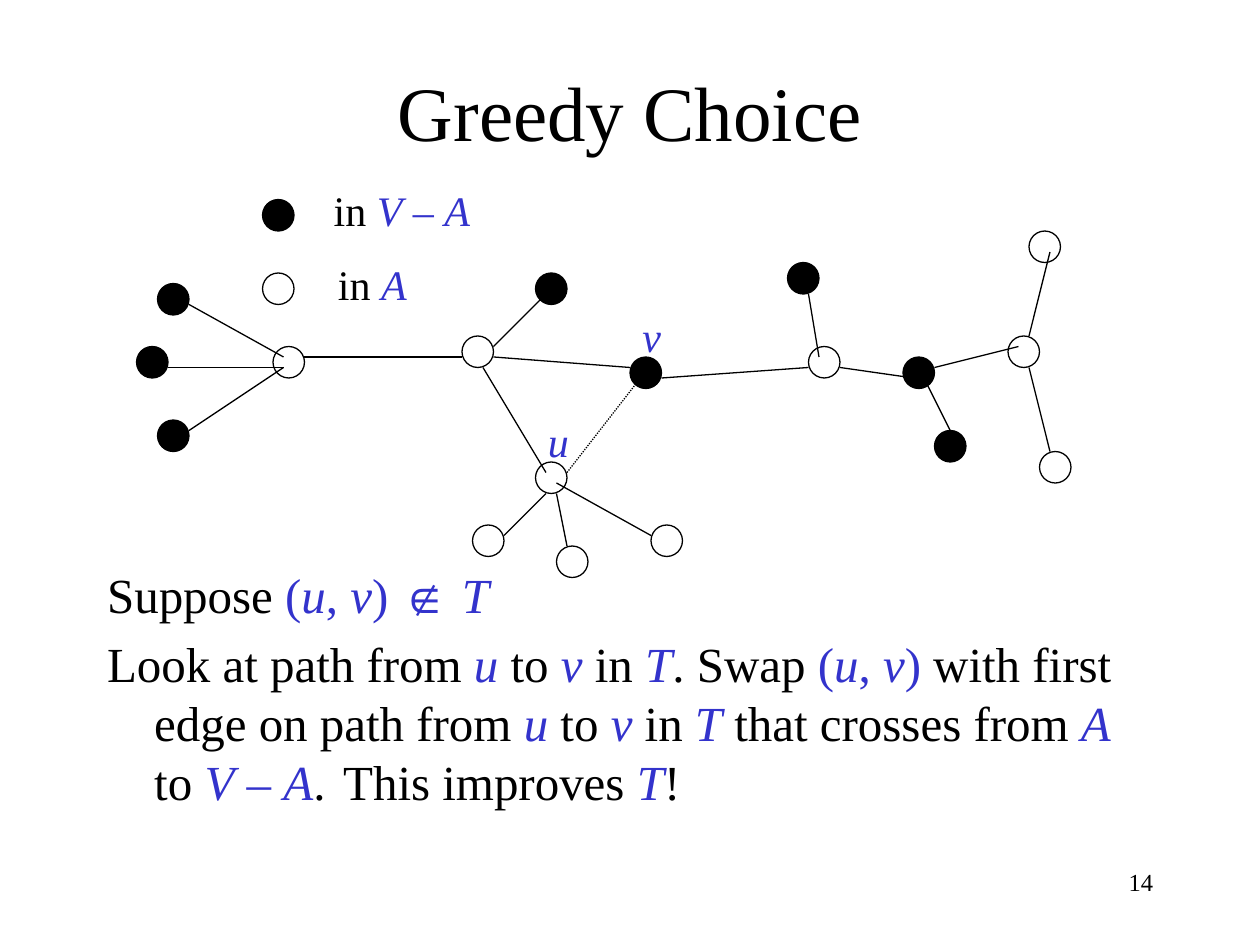
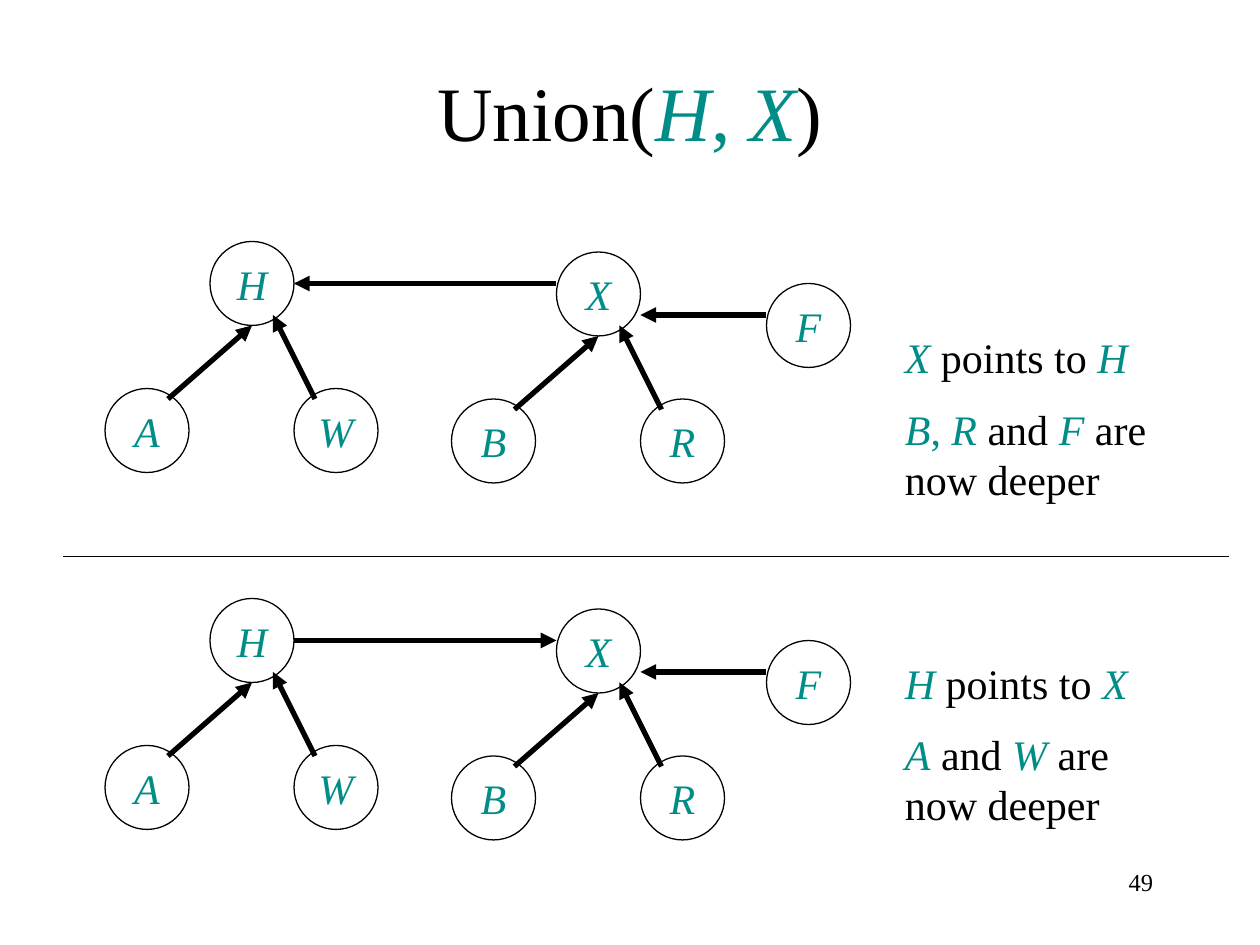
"""Build two slides on greedy spanning trees and set union."""
import itertools

import pptx
import pptx.dml.color
import pptx.enum.dml
import pptx.enum.shapes
import pptx.enum.text
import pptx.oxml
import pptx.oxml.ns
import pptx.util
from lxml import etree

BLACK = pptx.dml.color.RGBColor(0x00, 0x00, 0x00)
BLUE = pptx.dml.color.RGBColor(0x33, 0x33, 0xCC)
TEAL = pptx.dml.color.RGBColor(0x00, 0x8C, 0x87)
FONT = "Times New Roman"
GRID = pptx.util.Cm(2.54) / 12
ALIGN = pptx.enum.text.PP_ALIGN
ANCHOR = pptx.enum.text.MSO_ANCHOR
FIT = pptx.enum.text.MSO_AUTO_SIZE
DOTTED = pptx.enum.dml.MSO_LINE.ROUND_DOT
OVAL = pptx.enum.shapes.MSO_SHAPE.OVAL
STRAIGHT = pptx.enum.shapes.MSO_CONNECTOR.STRAIGHT


def grid(*cells):
    """Turn counts of twelfths of an inch into lengths."""
    return [pptx.util.Emu(round(cell * GRID)) for cell in cells]


def write(para, text, size, accent):
    """Write text, with the parts between bars coloured and their letters italic."""
    for number, part in enumerate(text.split("|")):
        marked = number % 2 == 1
        for italic, letters in itertools.groupby(part, lambda c: marked and c.isalpha()):
            span = para.add_run()
            span.text = "".join(letters)
            formats = {"name": FONT, "size": pptx.util.Pt(size), "italic": italic}
            for name, value in formats.items():
                setattr(span.font, name, value)
            span.font.color.rgb = accent if marked else BLACK


black_nodes = [(13, 33), (15, 27), (15, 40), (51, 26), (60, 34), (86, 34), (89, 41),
               (75, 25), (25, 19)]
white_nodes = [(26, 33), (44, 32), (53, 52), (45, 50), (62, 50), (77, 33), (51, 44),
               (96, 32), (98, 22), (99, 43), (25, 26)]
tree_edges = [(29, 34, 44, 34), (47, 34, 60, 35), (63, 36, 77, 35), (80, 35, 87, 36),
              (18, 29, 27, 34), (16, 35, 27, 35), (18, 41, 27, 35), (47, 33, 52, 28),
              (53, 47, 54, 52), (52, 47, 48, 51), (53, 46, 62, 51), (88, 36, 91, 42),
              (78, 34, 77, 28), (46, 35, 52, 45), (89, 35, 97, 33), (100, 24, 98, 32),
              (98, 35, 100, 43)]
set_nodes = {"A": (10, 37), "H": (20, 23), "W": (28, 37), "B": (43, 38),
             "X": (53, 24), "R": (61, 38), "F": (73, 27)}
set_arrows = [(16, 38, 24, 31), (30, 38, 26, 30), (49, 39, 57, 32), (63, 39, 59, 31),
              (73, 30, 61, 30)]
union_arrows = {0: (53, 27, 28, 27), 34: (28, 27, 53, 27)}

greedy = {
    "layout": 1, "title": "Greedy Choice", "number": "14", "accent": BLUE,
    "body": ["Suppose |(u, v) ∉ T|",
             "Look at path from |u| to |v| in |T|. Swap |(u, v)| with first edge on path "
             "from |u| to |v| in |T| that crosses from |A| to |V – A|.\tThis improves |T|!"],
    "nodes": [(x, y, 3, BLACK, "") for x, y in black_nodes]
             + [(x, y, 3, None, "") for x, y in white_nodes],
    "lines": [(edge, 0.75, None, False) for edge in tree_edges]
             + [((54, 45, 61, 36), 0.75, DOTTED, False)],
    "notes": [((51, 39, 4.4, 6), True, ["|u|"]), ((60, 29, 4.2, 6), True, ["|v|"]),
              ((30.6, 17, 15.4, 6), False, ["in |V – A|"]),
              ((31, 24, 9, 6), False, ["in |A|"])],
}
union = {
    "layout": 5, "title": "Union(|H, X|)", "number": "49", "accent": TEAL, "body": [],
    "nodes": [(x, y + drop, 8, None, f"|{name}|")
              for drop in union_arrows for name, (x, y) in set_nodes.items()],
    "lines": [((x1, y1 + drop, x2, y2 + drop), 3, None, True)
              for drop, joint in union_arrows.items()
              for x1, y1, x2, y2 in set_arrows + [joint]]
             + [((6, 53, 117, 53), 0.75, None, False)],
    "notes": [((85, 31, 30, 18), True,
               ["|X| points to |H|", "|B, R| and |F| are now deeper"]),
              ((85, 62, 28, 18), True,
               ["|H| points to |X|", "|A| and |W| are now deeper"])],
}

deck = pptx.Presentation()
deck.slide_width, deck.slide_height = pptx.util.Cm(25.4), pptx.util.Cm(19.05)

for content in (greedy, union):
    accent = content["accent"]
    page = deck.slides.add_slide(deck.slide_layouts[content["layout"]])
    title = page.shapes.title
    title.left, title.top, title.width, title.height = grid(9, 3, 102, 15)
    title.text_frame.vertical_anchor = ANCHOR.MIDDLE
    title.text_frame.paragraphs[0].alignment = ALIGN.CENTER
    write(title.text_frame.paragraphs[0], content["title"], 44, accent)

    for number, text in enumerate(content["body"]):
        body = page.placeholders[1]
        if number == 0:
            body.left, body.top, body.width, body.height = grid(9, 53.2, 102, 26.8)
            body.text_frame.auto_size = FIT.NONE
        para = body.text_frame.add_paragraph() if number else body.text_frame.paragraphs[0]
        props = para._p.get_or_add_pPr()
        props.set("marL", str(pptx.util.Cm(0.95)))
        props.set("indent", str(-pptx.util.Cm(0.95)))
        etree.SubElement(props, pptx.oxml.ns.qn("a:buNone"))
        tabs = etree.SubElement(props, pptx.oxml.ns.qn("a:tabLst"))
        etree.SubElement(tabs, pptx.oxml.ns.qn("a:tab"),
                         pos=str(pptx.util.Cm(6.85)), algn="l")
        para.space_before = pptx.util.Pt(5.6 if number else 0)
        write(para, text, 28, accent)

    for x, y, size, fill, label in content["nodes"]:
        node = page.shapes.add_shape(OVAL, *grid(x, y, size, size))
        node.shadow.inherit = False
        node.line.color.rgb = BLACK
        node.line.width = pptx.util.Pt(0.75)
        if fill is None:
            node.fill.background()
        else:
            node.fill.solid()
            node.fill.fore_color.rgb = fill
        if label:
            node.text_frame.word_wrap = False
            node.text_frame.vertical_anchor = ANCHOR.MIDDLE
            node.text_frame.paragraphs[0].alignment = ALIGN.CENTER
            write(node.text_frame.paragraphs[0], label, 24, accent)

    for ends, width, dash, arrow in content["lines"]:
        line = page.shapes.add_connector(STRAIGHT, *grid(*ends))
        line.line.color.rgb = BLACK
        line.line.width = pptx.util.Pt(width)
        if dash:
            line.line.dash_style = dash
        if arrow:
            etree.SubElement(line.line._get_or_add_ln(), pptx.oxml.ns.qn("a:tailEnd"),
                             type="triangle")
        etree.SubElement(line._element.spPr, pptx.oxml.ns.qn("a:effectLst"))

    for area, wrap, texts in content["notes"]:
        box = page.shapes.add_textbox(*grid(*area))
        box.text_frame.word_wrap = wrap
        box.text_frame.auto_size = FIT.SHAPE_TO_FIT_TEXT
        for number, text in enumerate(texts):
            para = box.text_frame.add_paragraph() if number else box.text_frame.paragraphs[0]
            para.space_before = pptx.util.Pt(12 if number else 0)
            write(para, text, 24, accent)

    footer = page.shapes.add_textbox(*grid(86, 82, 25, 6))
    footer.text_frame.word_wrap = True
    footer.text_frame.paragraphs[0].alignment = ALIGN.RIGHT
    write(footer.text_frame.paragraphs[0], content["number"], 14, accent)

deck.save("out.pptx")
